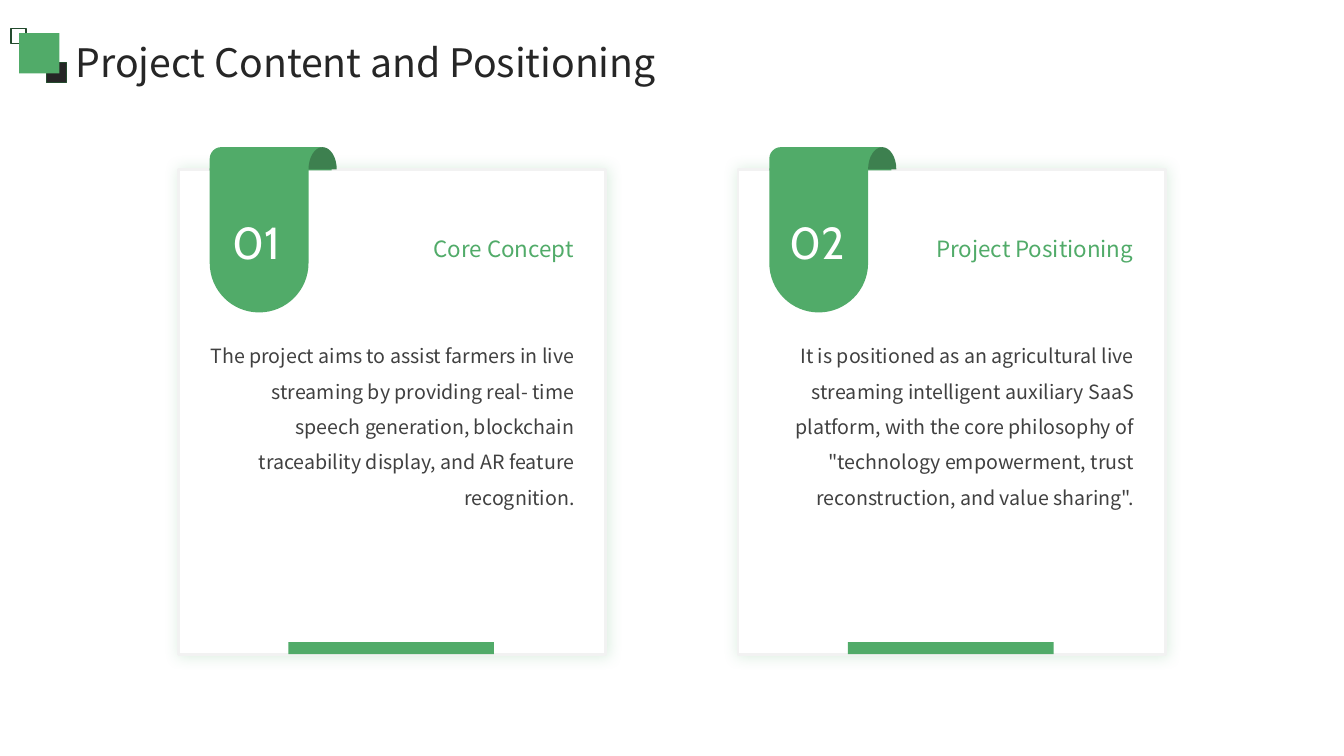
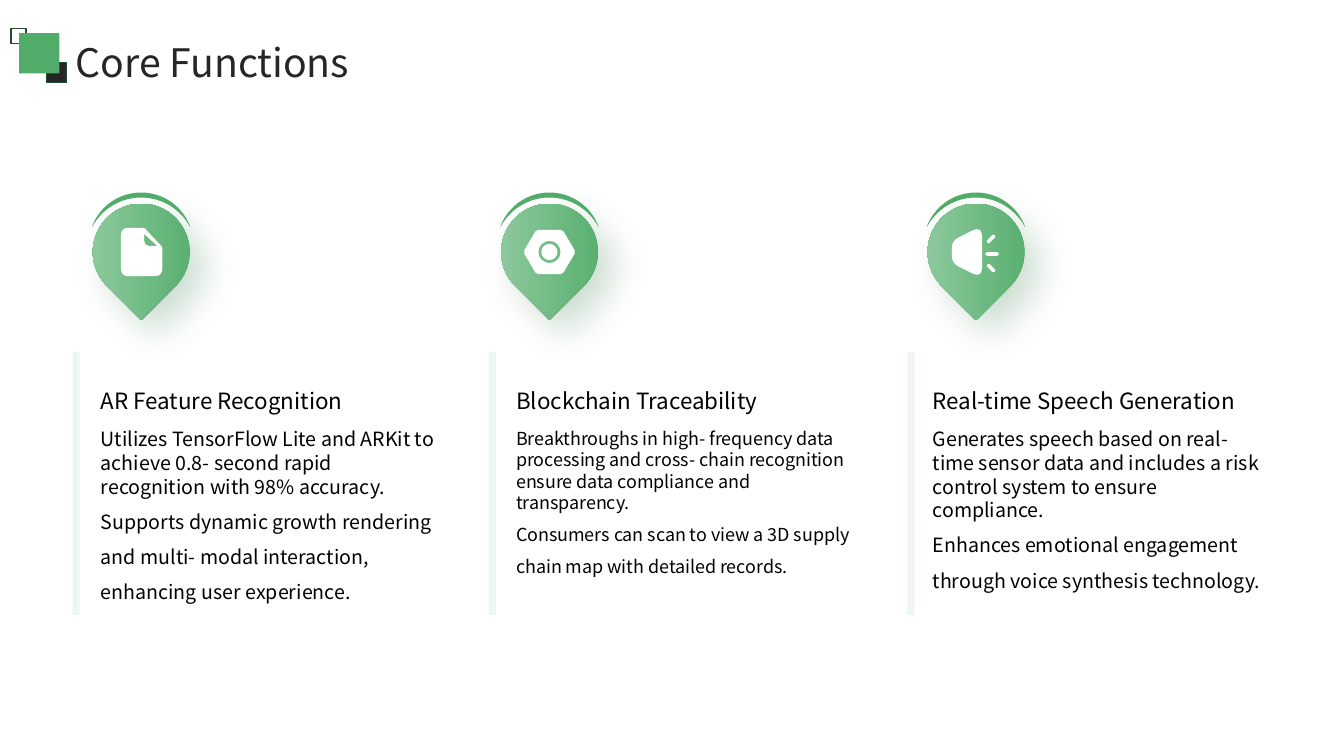
import math
from dataclasses import dataclass
from typing import Callable, Optional

from lxml import etree
from pptx import Presentation
from pptx.dml.color import RGBColor
from pptx.enum import shapes, text
from pptx.oxml import ns
from pptx.util import Emu, Inches, Pt

GREEN = RGBColor(0x51, 0xAB, 0x69)
LIGHT_GREEN = RGBColor(0x96, 0xCD, 0xA5)
PALE_GREEN = RGBColor(0xDC, 0xEE, 0xE1)
FOLD_GREEN = RGBColor(0x3D, 0x80, 0x4F)
OUTLINE_GREEN = RGBColor(0x24, 0x4B, 0x2E)
WHITE = RGBColor(0xFF, 0xFF, 0xFF)
CARD_EDGE = RGBColor(0xF2, 0xF2, 0xF2)
BLACK = RGBColor(0, 0, 0)
TITLE_INK = RGBColor(0x26, 0x26, 0x26)
BODY_INK = RGBColor(0x40, 0x40, 0x40)

TEXT_FONT = "Noto Sans CJK SC"
NUMBER_FONT = "Cabin"
SHAPE = shapes.MSO_SHAPE
ALIGN = text.PP_ALIGN
ANCHOR = text.MSO_ANCHOR

Point = tuple[float, float]
Contour = list[list[Point]]  # steps: one point is a straight line, three a cubic curve


@dataclass(frozen=True)
class Card:
    number: str
    heading: str
    body: str
    left: float
    number_left: float


@dataclass(frozen=True)
class Feature:
    heading: str
    summary: str
    detail: str
    size: float
    bar_left: float
    text_left: float
    pin_x: float
    icon: Callable[[float], list[Contour]]


def paint(shape, fill: Optional[RGBColor], line: Optional[RGBColor] = None, width: float = 1) -> None:
    shape.shadow.inherit = False
    if fill is None:
        shape.fill.background()
    else:
        shape.fill.solid()
        shape.fill.fore_color.rgb = fill
    if line is None:
        shape.line.fill.background()
    else:
        shape.line.color.rgb = line
        shape.line.width = Pt(width)


def add_block(page, kind, left: float, top: float, width: float, height: float,
              fill: Optional[RGBColor], line: Optional[RGBColor] = None, edge: float = 1):
    block = page.shapes.add_shape(kind, Inches(left), Inches(top), Inches(width), Inches(height))
    paint(block, fill, line, edge)
    return block


def add_outline(page, contours: list[Contour], fill: RGBColor) -> None:
    """Draw closed contours as one freeform, turning three-point steps into curves."""
    builder = None
    for contour in contours:
        start, *rest = [(Inches(x), Inches(y)) for step in contour for x, y in step]
        if builder is None:
            builder = page.shapes.build_freeform(*start)
        else:
            builder.move_to(*start)
        builder.add_line_segments(rest, close=False)
    outline = builder.convert_to_shape()
    segments = iter(list(outline.element.iter(ns.qn("a:moveTo"), ns.qn("a:lnTo"))))
    for contour in contours:
        for step in contour:
            first, *others = [next(segments) for _ in step]
            if others:
                first.tag = ns.qn("a:cubicBezTo")
                for other in others:
                    first.append(other[0])
                    other.getparent().remove(other)
            last = first
        last.addnext(etree.Element(ns.qn("a:close")))
    paint(outline, fill)


def add_alpha(color, percent: int) -> None:
    etree.SubElement(color, ns.qn("a:alpha"), val=str(percent * 1000))


def add_shadow(shape, color: RGBColor, alpha: int, blur: float, distance: float, angle: int) -> None:
    effects = shape.element.spPr.find(ns.qn("a:effectLst"))
    shadow = etree.SubElement(effects, ns.qn("a:outerShdw"), blurRad=str(Pt(blur)),
                              dist=str(Pt(distance)), dir=str(angle * 60000),
                              algn="ctr", rotWithShape="0")
    add_alpha(etree.SubElement(shadow, ns.qn("a:srgbClr"), val=str(color)), alpha)


def add_text(page, left: float, top: float, width: float, height: float, lines: list[str],
             size: float, color: RGBColor, spacings: list[float], align=ALIGN.LEFT,
             anchor=ANCHOR.TOP, font: str = TEXT_FONT) -> None:
    box = page.shapes.add_textbox(Inches(left), Inches(top), Inches(width), Inches(height))
    frame = box.text_frame
    frame.word_wrap = True
    frame.vertical_anchor = anchor
    frame.margin_left = frame.margin_right = frame.margin_top = frame.margin_bottom = Emu(0)
    for index, (line, spacing) in enumerate(zip(lines, spacings)):
        para = frame.paragraphs[0] if index == 0 else frame.add_paragraph()
        para.text = line
        para.alignment = align
        para.line_spacing = spacing
        para.font.name = font
        para.font.size = Pt(size)
        para.font.color.rgb = color


def arc(x: float, y: float, rx: float, ry: float, start: float, end: float) -> Contour:
    """Elliptical arc, in degrees clockwise from the right."""
    count = math.ceil(abs(end - start) / 90)
    sweep = math.radians(end - start) / count
    pull = 4 / 3 * math.tan(sweep / 4)

    def place(angle: float, tangent: float) -> Point:
        return (x + rx * (math.cos(angle) - tangent * math.sin(angle)),
                y + ry * (math.sin(angle) + tangent * math.cos(angle)))

    angles = [math.radians(start) + sweep * index for index in range(count + 1)]
    return [[place(angles[0], 0)]] + [[place(a, pull), place(b, -pull), place(b, 0)]
                                      for a, b in zip(angles, angles[1:])]


def toward(start: Point, end: Point, share: float) -> Point:
    return (start[0] + (end[0] - start[0]) * share, start[1] + (end[1] - start[1]) * share)


def rounded(corners: list[tuple[float, float, float]]) -> Contour:
    """Polygon whose corners (x, y, cut) are softened by a curve."""
    steps: Contour = []
    for index, (x, y, cut) in enumerate(corners):
        corner = (x, y)
        before, after = corners[index - 1][:2], corners[(index + 1) % len(corners)][:2]
        enter = toward(corner, before, cut / math.dist(corner, before))
        leave = toward(corner, after, cut / math.dist(corner, after))
        steps.append([enter])
        if cut:
            steps.append([toward(enter, corner, 0.6), toward(leave, corner, 0.6), leave])
    return steps


def ray(x1: float, y1: float, x2: float, y2: float) -> Contour:
    half = 0.018
    length = math.hypot(x2 - x1, y2 - y1)
    dx, dy = (y1 - y2) / length * half, (x2 - x1) / length * half
    return rounded([(x1 + dx, y1 + dy, half), (x2 + dx, y2 + dy, half),
                    (x2 - dx, y2 - dy, half), (x1 - dx, y1 - dy, half)])


def document_icon(x: float) -> list[Contour]:
    left, right, top, bottom = x - 0.2, x + 0.21, 2.26, 2.74
    page_edge = rounded([(left, top, 0.07), (x + 0.03, top, 0.01), (right, 2.45, 0.01),
                         (right, bottom, 0.07), (left, bottom, 0.07)])
    fold = rounded([(x + 0.03, 2.32, 0), (x + 0.03, 2.44, 0.05), (x + 0.16, 2.44, 0)])
    return [fold, page_edge]


def nut_icon(x: float) -> list[Contour]:
    hexagon = rounded([(x - 0.13, 2.28, 0.02), (x + 0.13, 2.28, 0.02), (x + 0.26, 2.5, 0.02),
                       (x + 0.13, 2.72, 0.02), (x - 0.13, 2.72, 0.02), (x - 0.26, 2.5, 0.02)])
    return [arc(x, 2.5, r, r, 0, 360) for r in (0.08, 0.11)] + [hexagon]


def speaker_icon(x: float) -> list[Contour]:
    horn = rounded([(x - 0.24, 2.39, 0.07), (x + 0.06, 2.24, 0.1),
                    (x + 0.06, 2.76, 0.1), (x - 0.24, 2.61, 0.07)])
    return [ray(x + 0.11, 2.62, x + 0.19, 2.7), ray(x + 0.09, 2.52, x + 0.23, 2.52),
            ray(x + 0.11, 2.41, x + 0.19, 2.33), horn]


def add_header(page, title: str) -> None:
    add_text(page, 0.75, 0.31, 11.68, 0.46, [title], 28, TITLE_INK, [1.3], anchor=ANCHOR.MIDDLE)
    add_block(page, SHAPE.RECTANGLE, 0.11, 0.28, 0.15, 0.15, None, OUTLINE_GREEN)
    add_block(page, SHAPE.RECTANGLE, 0.46, 0.62, 0.2, 0.2, TITLE_INK, OUTLINE_GREEN)
    add_block(page, SHAPE.RECTANGLE, 0.19, 0.33, 0.4, 0.4, GREEN)


def add_card(page, card: Card) -> None:
    x = card.left
    panel = add_block(page, SHAPE.RECTANGLE, x, 1.68, 4.24, 4.81, WHITE, CARD_EDGE, 2)
    add_shadow(panel, GREEN, 20, 10, 0, 0)
    add_text(page, x + 1.51, 2.01, 2.41, 0.84, [card.heading], 16, GREEN, [1.3],
             ALIGN.RIGHT, ANCHOR.MIDDLE)
    ribbon_left, ribbon_right = x + 0.31, x + 1.29
    add_outline(page, [[[(ribbon_left, 1.67)], [(ribbon_right, 1.67)]]
                       + arc(x + 0.8, 2.61, 0.49, 0.49, 0, 180)], GREEN)
    band = add_block(page, SHAPE.ROUND_2_SAME_RECTANGLE, ribbon_left, 1.46, 1.21, 0.23, GREEN)
    band.adjustments[0] = 0.5
    add_outline(page, [arc(x + 1.43, 1.68, 0.14, 0.22, 180, 360)], FOLD_GREEN)
    add_text(page, x + 0.3, 3.3, 3.63, 2.84, [card.body], 14, BODY_INK, [1.5], ALIGN.RIGHT)
    add_block(page, SHAPE.RECTANGLE, x + 1.09, 6.37, 2.04, 0.12, GREEN)
    add_text(page, card.number_left, 1.9, 0.84, 0.84, [card.number], 32, WHITE, [1.3],
             ALIGN.CENTER, ANCHOR.MIDDLE, NUMBER_FONT)


def add_pin(page, x: float) -> None:
    pin = add_block(page, SHAPE.TEAR, x - 0.48, 2.02, 0.96, 0.96, GREEN)
    pin.rotation = 135
    pin.fill.gradient()
    pin.fill.gradient_angle = 315
    for stop, color, position in zip(pin.fill.gradient_stops, (GREEN, LIGHT_GREEN), (0.01, 1)):
        stop.color.rgb = color
        stop.position = position
    add_shadow(pin, FOLD_GREEN, 25, 26, 15, 45)
    crescent = arc(x, 2.43, 0.52, 0.52, 200, 340) + arc(x, 2.51, 0.55, 0.55, 332, 208)
    add_outline(page, [crescent], GREEN)


def add_feature(page, feature: Feature) -> None:
    add_pin(page, feature.pin_x)
    bar = add_block(page, SHAPE.RECTANGLE, feature.bar_left, 3.49, 0.07, 2.61, PALE_GREEN)
    add_alpha(bar.element.spPr.find(".//" + ns.qn("a:srgbClr")), 50)
    add_text(page, feature.text_left, 3.29, 3.35, 0.82, [feature.heading], 16, BLACK, [1.3],
             anchor=ANCHOR.BOTTOM)
    add_text(page, feature.text_left, 4.24, 3.35, 1.86, [feature.summary, feature.detail],
             feature.size, BLACK, [1, 1.5])
    add_outline(page, feature.icon(feature.pin_x), WHITE)


CARDS = [
    Card("01", "Core Concept",
         "The project aims to assist farmers in live streaming by providing real- time speech "
         "generation, blockchain traceability display, and AR feature recognition.", 1.77, 2.12),
    Card("02", "Project Positioning",
         "It is positioned as an agricultural live streaming intelligent auxiliary SaaS platform, "
         "with the core philosophy of \"technology empowerment, trust reconstruction, "
         "and value sharing\".", 7.32, 7.69),
]

FEATURES = [
    Feature("AR Feature Recognition",
            "Utilizes TensorFlow Lite and ARKit to achieve 0.8- second rapid recognition "
            "with 98% accuracy.",
            "Supports dynamic growth rendering and multi- modal interaction, "
            "enhancing user experience.", 14, 0.72, 1, 1.4, document_icon),
    Feature("Blockchain Traceability",
            "Breakthroughs in high- frequency data processing and cross- chain recognition "
            "ensure data compliance and transparency.",
            "Consumers can scan to view a 3D supply chain map with detailed records.",
            12.75, 4.85, 5.12, 5.45, nut_icon),
    Feature("Real-time Speech Generation",
            "Generates speech based on real- time sensor data and includes a risk control "
            "system to ensure compliance.",
            "Enhances emotional engagement through voice synthesis technology.",
            14, 9, 9.25, 9.68, speaker_icon),
]


def main() -> None:
    deck = Presentation()
    deck.slide_width, deck.slide_height = Inches(13.33), Inches(7.5)
    for title, add_part, parts in (("Project Content and Positioning", add_card, CARDS),
                                   ("Core Functions", add_feature, FEATURES)):
        page = deck.slides.add_slide(deck.slide_layouts[6])
        for part in parts:
            add_part(page, part)
        add_header(page, title)
    deck.save("out.pptx")


if __name__ == "__main__":
    main()
